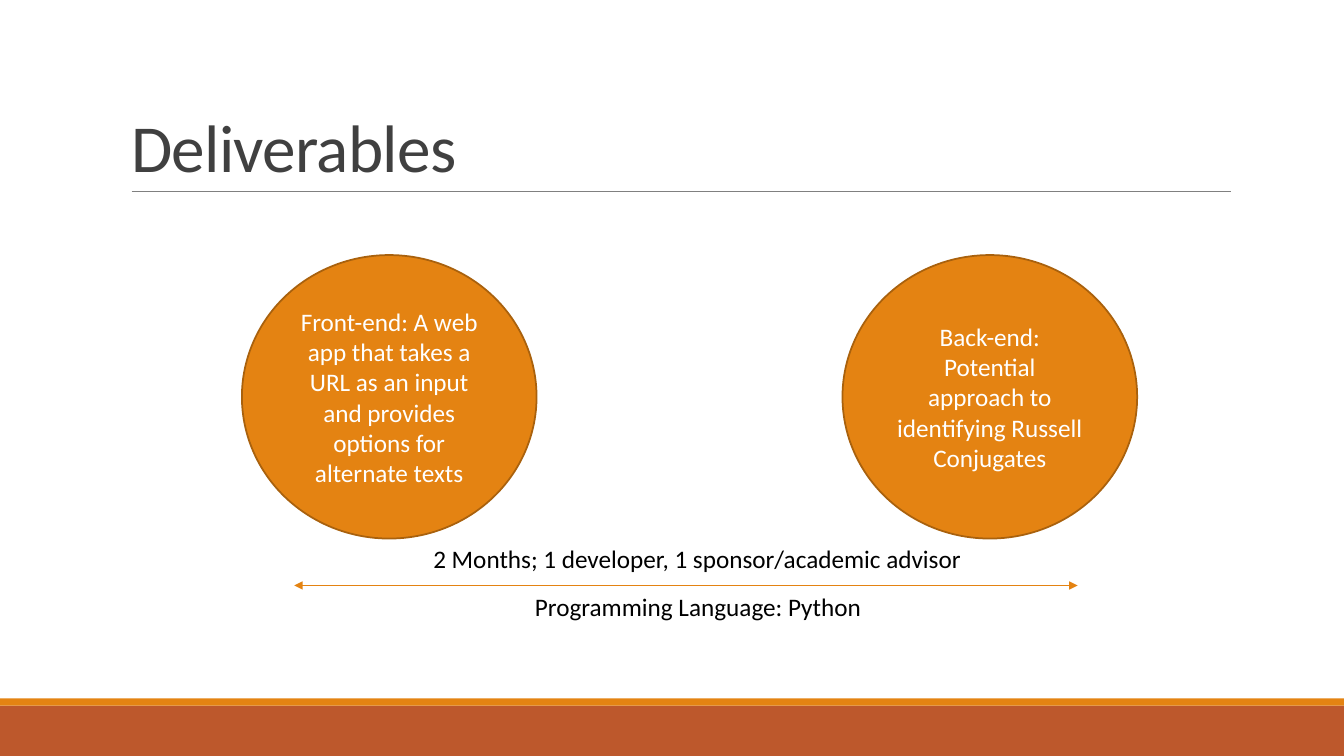
from lxml.etree import SubElement
from pptx import Presentation
from pptx.dml.color import RGBColor
from pptx.enum.shapes import MSO_CONNECTOR, MSO_SHAPE
from pptx.enum.text import MSO_ANCHOR, MSO_AUTO_SIZE, PP_ALIGN
from pptx.oxml.ns import qn
from pptx.util import Pt

COLORS = {
    "orange": "E48312",
    "dark orange": "A9610D",
    "rust": "BD582C",
    "grey": "808080",
    "title": "404040",
    "white": "FFFFFF",
    "black": "000000",
}
WIDTH, HEIGHT = 960, 540


class SlideBuilder:
    """Holds the style and the current slide; lengths are in points."""

    font = "Calibri"
    body_size = 18
    title_size = 48

    def __init__(self, slide):
        self.slide = slide

    def color(self, name):
        return RGBColor.from_string(COLORS[name])

    def format_text(self, frame, size, color, align, anchor):
        frame.word_wrap = True
        frame.vertical_anchor = anchor
        for para in frame.paragraphs:
            para.alignment = align
            for span in para.runs:
                span.font.name = self.font
                span.font.size = Pt(size)
                span.font.color.rgb = self.color(color)

    def title(self, text, left, top, width, height):
        box = self.slide.shapes.title
        box.left, box.top = Pt(left), Pt(top)
        box.width, box.height = Pt(width), Pt(height)
        frame = box.text_frame
        frame.text = text
        frame.auto_size = MSO_AUTO_SIZE.NONE
        self.format_text(frame, self.title_size, "title", PP_ALIGN.LEFT, MSO_ANCHOR.BOTTOM)
        para = frame.paragraphs[0]
        para.line_spacing = 0.85
        para.runs[0].font._element.set("spc", "-50")

    def shape(self, kind, left, top, width, height, fill, outline=None, text=""):
        shape = self.slide.shapes.add_shape(kind, Pt(left), Pt(top), Pt(width), Pt(height))
        shape.shadow.inherit = False
        shape.fill.solid()
        shape.fill.fore_color.rgb = self.color(fill)
        if outline:
            shape.line.color.rgb = self.color(outline)
            shape.line.width = Pt(1.25)
        else:
            shape.line.fill.background()
        if text:
            shape.text_frame.text = text
            self.format_text(shape.text_frame, self.body_size, "white",
                             PP_ALIGN.CENTER, MSO_ANCHOR.MIDDLE)

    def line(self, left, right, y, color, weight, arrows=False):
        line = self.slide.shapes.add_connector(
            MSO_CONNECTOR.STRAIGHT, Pt(left), Pt(y), Pt(right), Pt(y))
        line.line.color.rgb = self.color(color)
        line.line.width = Pt(weight)
        if arrows:
            for end in ("a:headEnd", "a:tailEnd"):
                SubElement(line.line._get_or_add_ln(), qn(end), type="triangle")
        SubElement(line._element.spPr, qn("a:effectLst"))

    def label(self, text, left, top, width, height):
        box = self.slide.shapes.add_textbox(Pt(left), Pt(top), Pt(width), Pt(height))
        box.text_frame.text = text
        box.text_frame.auto_size = MSO_AUTO_SIZE.SHAPE_TO_FIT_TEXT
        self.format_text(box.text_frame, self.body_size, "black",
                         PP_ALIGN.LEFT, MSO_ANCHOR.TOP)


deck = Presentation()
deck.slide_width, deck.slide_height = Pt(WIDTH), Pt(HEIGHT)
page = SlideBuilder(deck.slides.add_slide(deck.slide_layouts[5]))

# Footer bands
footer_top, stripe_height = 504, 5.04
page.shape(MSO_SHAPE.RECTANGLE, 0, footer_top, WIDTH, HEIGHT - footer_top, "rust")
page.shape(MSO_SHAPE.RECTANGLE, 0, footer_top - stripe_height, WIDTH, stripe_height, "orange")

# Title and rule
page.line(94, 879, 136.8, "grey", 0.5)
page.title("Deliverables", 86.4, 22.4, 792, 114.4)

# Deliverable circles
deliverables = [
    "Front-end: A web app that takes a URL as an input and provides options for alternate texts",
    "Back-end: Potential approach to identifying Russell Conjugates",
]
first_left, circle_step = 172.8, 429
for index, text in enumerate(deliverables):
    page.shape(MSO_SHAPE.OVAL, first_left + index * circle_step, 182.2, 210.5, 202.5,
               "orange", "dark orange", text)

# Resources along the arrow
page.line(210.2, 769.7, 418.2, "orange", 1, arrows=True)
page.label("2 Months; 1 developer, 1 sponsor/academic advisor", 302.4, 384.5, 404.6, 29)
page.label("Programming Language: Python", 375, 419, 404.6, 29)

deck.save("out.pptx")
